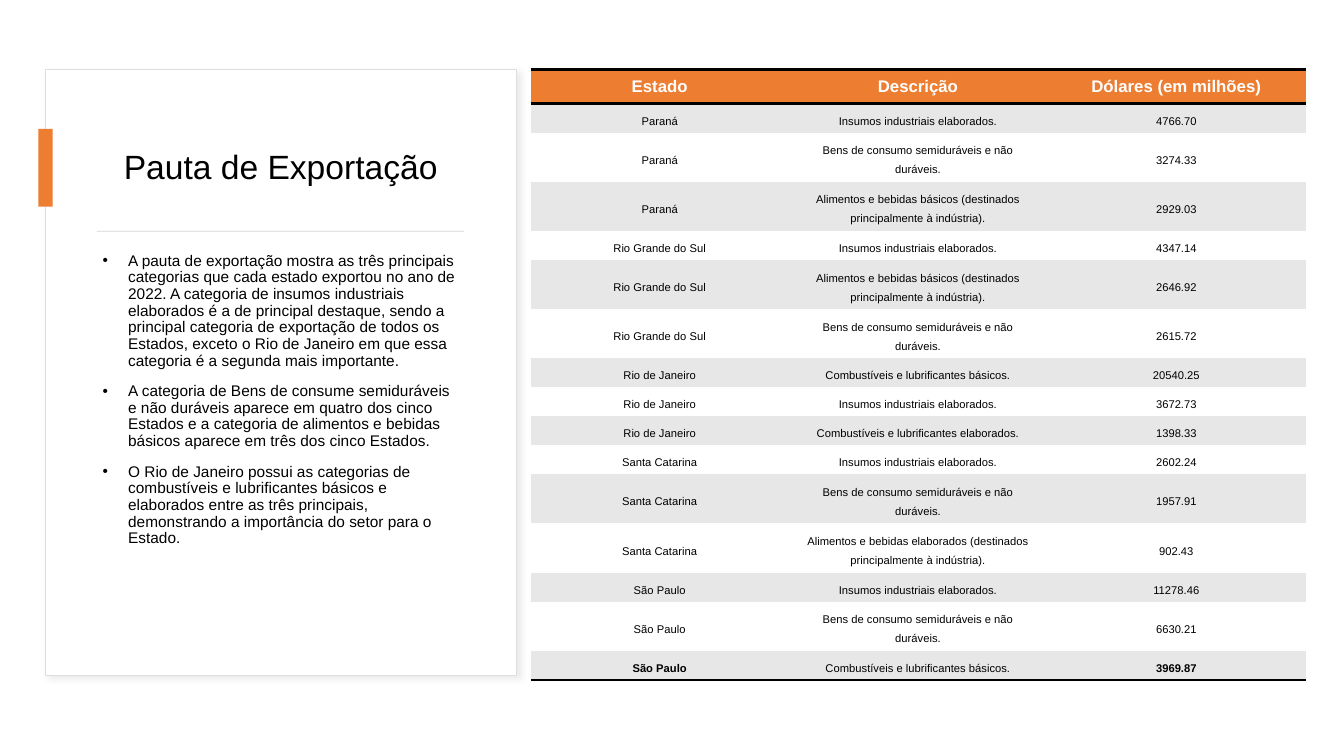
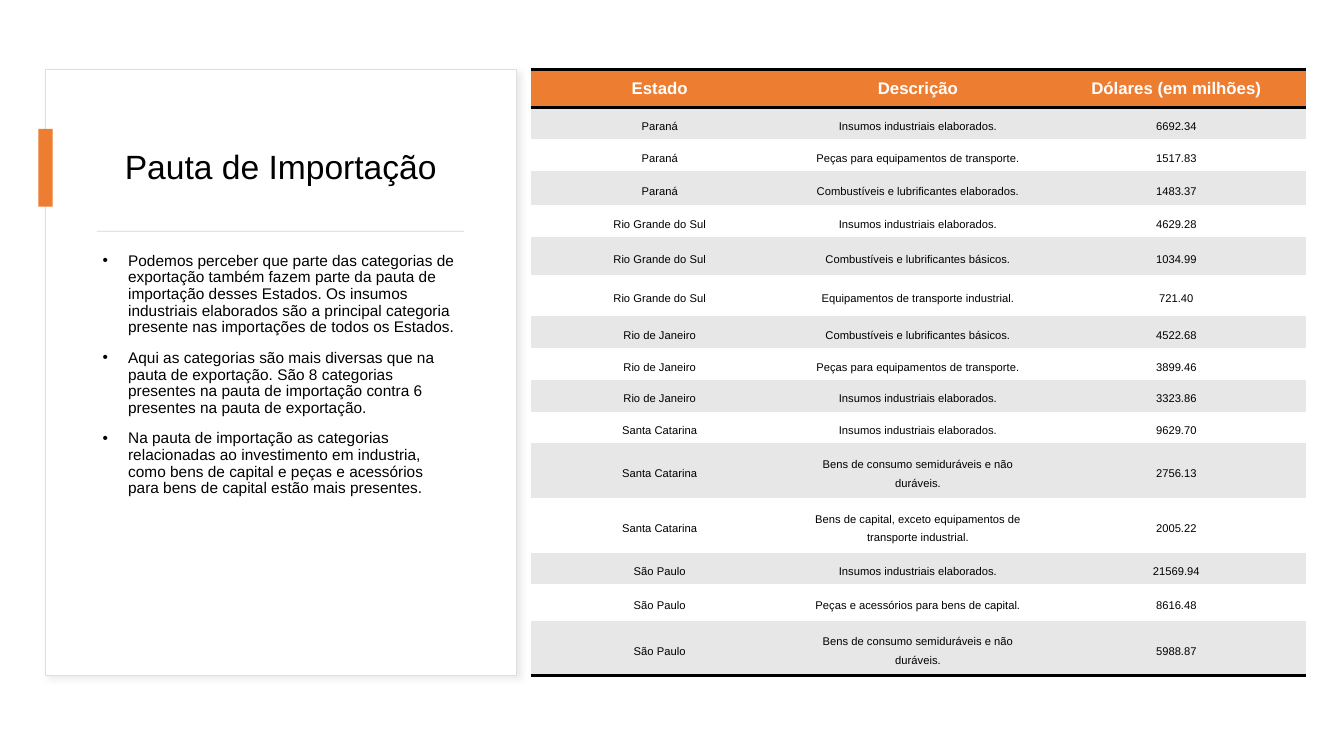
from lxml import etree
from pptx import Presentation
from pptx import util as u
from pptx.dml.color import RGBColor
from pptx.enum import shapes, text
from pptx.oxml.ns import qn

INSUMOS = "Insumos industriais elaborados."
CONSUMO = "Bens de consumo semiduráveis e não duráveis."
ALIMENTOS = "Alimentos e bebidas básicos (destinados principalmente à indústria)."
BASICOS = "Combustíveis e lubrificantes básicos."
ELABORADOS = "Combustíveis e lubrificantes elaborados."
PECAS = "Peças para equipamentos de transporte."

HEADINGS = ["Estado", "Descrição", "Dólares (em milhões)"]
STATES = ["Paraná", "Rio Grande do Sul", "Rio de Janeiro", "Santa Catarina", "São Paulo"]

EXPORTS = {
    "title": "Pauta de Exportação",
    "points": [
        "A pauta de exportação mostra as três principais categorias que cada estado exportou no ano de 2022. "
        "A categoria de insumos industriais elaborados é a de principal destaque, sendo a principal categoria "
        "de exportação de todos os Estados, exceto o Rio de Janeiro em que essa categoria é a segunda mais "
        "importante.",
        "A categoria de Bens de consume semiduráveis e não duráveis aparece em quatro dos cinco Estados e a "
        "categoria de alimentos e bebidas básicos aparece em três dos cinco Estados.",
        "O Rio de Janeiro possui as categorias de combustíveis e lubrificantes básicos e elaborados entre as "
        "três principais, demonstrando a importância do setor para o Estado.",
    ],
    "entries": [
        (INSUMOS, "4766.70"), (CONSUMO, "3274.33"), (ALIMENTOS, "2929.03"),
        (INSUMOS, "4347.14"), (ALIMENTOS, "2646.92"), (CONSUMO, "2615.72"),
        (BASICOS, "20540.25"), (INSUMOS, "3672.73"), (ELABORADOS, "1398.33"),
        (INSUMOS, "2602.24"), (CONSUMO, "1957.91"),
        ("Alimentos e bebidas elaborados (destinados principalmente à indústria).", "902.43"),
        (INSUMOS, "11278.46"), (CONSUMO, "6630.21"), (BASICOS, "3969.87"),
    ],
    "heights": {"header": 0.86, "single": 0.73, "double": 1.24},
    "bold_cells": {(15, 0), (15, 2)},
}

IMPORTS = {
    "title": "Pauta de Importação",
    "points": [
        "Podemos perceber que parte das categorias de exportação também fazem parte da pauta de importação "
        "desses Estados. Os insumos industriais elaborados são a principal categoria presente nas importações "
        "de todos os Estados.",
        "Aqui as categorias são mais diversas que na pauta de exportação. São 8 categorias presentes na pauta "
        "de importação contra 6 presentes na pauta de exportação.",
        "Na pauta de importação as categorias relacionadas ao investimento em industria, como bens de capital "
        "e peças e acessórios para bens de capital estão mais presentes.",
    ],
    "entries": [
        (INSUMOS, "6692.34"), (PECAS, "1517.83"), (ELABORADOS, "1483.37"),
        (INSUMOS, "4629.28"), (BASICOS, "1034.99"), ("Equipamentos de transporte industrial.", "721.40"),
        (BASICOS, "4522.68"), (PECAS, "3899.46"), (INSUMOS, "3323.86"),
        (INSUMOS, "9629.70"), (CONSUMO, "2756.13"),
        ("Bens de capital, exceto equipamentos de transporte industrial.", "2005.22"),
        (INSUMOS, "21569.94"), ("Peças e acessórios para bens de capital.", "8616.48"), (CONSUMO, "5988.87"),
    ],
    "heights": {"header": 0.96, "single": 0.8, "double": 1.38, 3: 0.86, 5: 0.96, 6: 1.04, 14: 0.91},
    "bold_cells": set(),
}


def color(value):
    return RGBColor.from_string(value)


def assign(target, values):
    for name, value in values.items():
        setattr(target, name, value)


def add_node(parent, tag, **attributes):
    return etree.SubElement(parent, qn(tag), attributes)


class Deck:
    """Holds the shared style and the current slide, and draws each kind of element."""

    FONT = "Arial"
    BLACK, WHITE, ORANGE = "000000", "FFFFFF", "ED7D31"
    BAND, BORDER, RULE, SHADOW = "E7E7E7", "DEDEDE", "D5D5D5", "D9D9D9"
    NO_GRID_STYLE = "{2D5ABB26-0587-4C30-8999-92F81FD0307C}"
    CENTERED = {"alignment": text.PP_ALIGN.CENTER}
    TITLE = {**CENTERED, "line_spacing": 0.9}
    POINT = {"alignment": text.PP_ALIGN.LEFT, "line_spacing": 0.9, "space_before": u.Pt(10)}
    ENTRY = {**CENTERED, "line_spacing": 1.5}
    CELL = {
        "vertical_anchor": text.MSO_ANCHOR.MIDDLE,
        "margin_left": u.Cm(0.38), "margin_right": u.Cm(0.38),
        "margin_top": u.Cm(0.11), "margin_bottom": u.Cm(0.11),
    }

    def __init__(self):
        self.presentation = Presentation()
        assign(self.presentation, {"slide_width": u.Cm(33.87), "slide_height": u.Cm(19.05)})
        self.slide = None

    def new_slide(self):
        self.slide = self.presentation.slides.add_slide(self.presentation.slide_layouts[6])

    def add_text(self, paragraph, content, layout, size, ink=BLACK, bold=False):
        assign(paragraph, layout)
        run = paragraph.add_run()
        run.text = content
        assign(run.font, {"name": self.FONT, "size": u.Pt(size), "bold": bold})
        run.font.color.rgb = color(ink)

    def rectangle(self, box, fill, line=None):
        shape = self.slide.shapes.add_shape(shapes.MSO_SHAPE.RECTANGLE, *map(u.Cm, box))
        shape.shadow.inherit = False
        shape.fill.solid()
        shape.fill.fore_color.rgb = color(fill)
        if line:
            shape.line.color.rgb = color(line)
            shape.line.width = u.Pt(0.75)
        else:
            shape.line.fill.background()
        return shape

    def card(self, box):
        shape = self.rectangle(box, self.WHITE, self.BORDER)
        effects = shape._element.spPr.find(qn("a:effectLst"))
        shadow = add_node(effects, "a:outerShdw", blurRad="50800", dist="38100", dir="2700000")
        tint = add_node(shadow, "a:srgbClr", val=self.SHADOW)
        add_node(tint, "a:alpha", val="50000")

    def text_frame(self, box, anchor):
        frame = self.slide.shapes.add_textbox(*map(u.Cm, box)).text_frame
        assign(frame, {"word_wrap": True, "vertical_anchor": anchor})
        return frame

    def title(self, box, content):
        frame = self.text_frame(box, text.MSO_ANCHOR.MIDDLE)
        self.add_text(frame.paragraphs[0], content, self.TITLE, 24)

    def bullets(self, box, points):
        frame = self.text_frame(box, text.MSO_ANCHOR.TOP)
        for index, point in enumerate(points):
            paragraph = frame.add_paragraph() if index else frame.paragraphs[0]
            self.add_text(paragraph, point, self.POINT, 11)
            properties = paragraph._p.get_or_add_pPr()
            indent = u.Cm(0.64)
            properties.set("marL", str(indent))
            properties.set("indent", str(-indent))
            add_node(properties, "a:buFont", typeface=self.FONT)
            add_node(properties, "a:buChar", char="•")

    def cell_borders(self, cell, sides):
        properties = cell._tc.get_or_add_tcPr()
        for side in sides:
            line = add_node(properties, f"a:ln{side}", w=str(u.Pt(2)))
            add_node(add_node(line, "a:solidFill"), "a:srgbClr", val=self.BLACK)

    def table(self, left, top, column_width, rows, heights, bold_cells):
        columns = len(rows[0])
        frame = self.slide.shapes.add_table(
            len(rows), columns, u.Cm(left), u.Cm(top), u.Cm(column_width * columns), u.Cm(sum(heights)))
        table = frame.table
        assign(table, {"first_row": False, "horz_banding": False})
        table._tbl.tblPr.find(qn("a:tableStyleId")).text = self.NO_GRID_STYLE
        for column in table.columns:
            column.width = u.Cm(column_width)
        for row_index, (values, height) in enumerate(zip(rows, heights)):
            table.rows[row_index].height = u.Cm(height)
            header, last = row_index == 0, row_index == len(rows) - 1
            fill = self.ORANGE if header else self.BAND if row_index % 2 else self.WHITE
            for column_index, value in enumerate(values):
                cell = table.cell(row_index, column_index)
                assign(cell, self.CELL)
                self.cell_borders(cell, "TB" if header else "B" if last else "")
                cell.fill.solid()
                cell.fill.fore_color.rgb = color(fill)
                paragraph = cell.text_frame.paragraphs[0]
                if header:
                    self.add_text(paragraph, value, self.CENTERED, 12, self.WHITE, True)
                else:
                    bold = (row_index, column_index) in bold_cells
                    self.add_text(paragraph, value, self.ENTRY, 8, bold=bold)

    def trade_slide(self, title, points, entries, heights, bold_cells):
        self.new_slide()
        self.card((1.14, 1.75, 11.89, 15.27))
        self.title((2.34, 2.72, 9.47, 3.07), title)
        self.rectangle((0.97, 3.25, 0.36, 1.96), self.ORANGE)
        self.rectangle((2.44, 5.82, 9.25, 0.02), self.RULE)
        self.bullets((2.34, 6.25, 9.47, 9.88), points)
        rows = [HEADINGS] + [(STATES[index // 3], *entry) for index, entry in enumerate(entries)]
        row_heights = [heights["header"]]
        for index, (description, _) in enumerate(entries, 1):
            usual = heights["double" if len(description) > 42 else "single"]
            row_heights.append(heights.get(index, usual))
        self.table(13.37, 1.75, 6.51, rows, row_heights, bold_cells)


def main():
    deck = Deck()
    for content in (EXPORTS, IMPORTS):
        deck.trade_slide(**content)
    deck.presentation.save("out.pptx")


if __name__ == "__main__":
    main()
